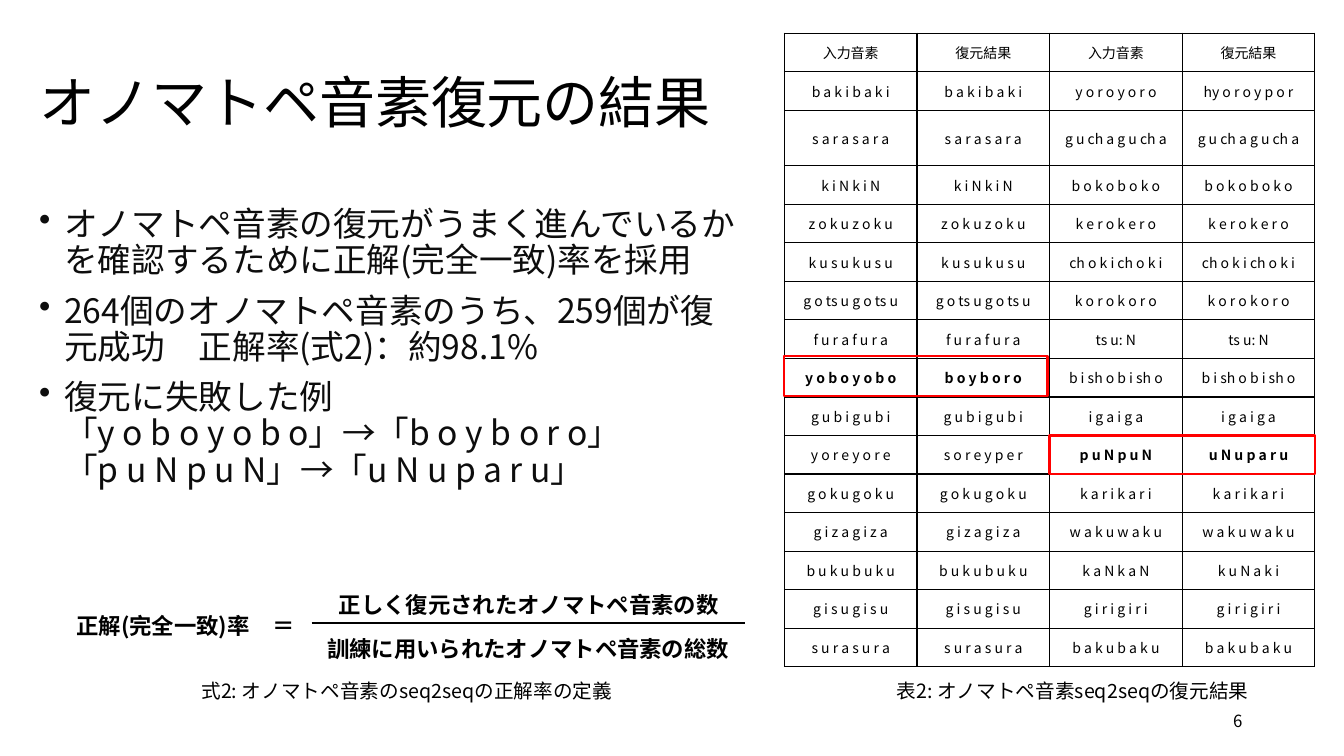
from pptx import Presentation
from pptx.dml.color import RGBColor
from pptx.enum.shapes import MSO_CONNECTOR, MSO_SHAPE
from pptx.enum.text import MSO_ANCHOR, MSO_AUTO_SIZE, PP_ALIGN
from pptx.oxml.ns import qn
from pptx.util import Inches, Pt
from lxml import etree

LEFT, CENTER, RIGHT, JUSTIFY = PP_ALIGN.LEFT, PP_ALIGN.CENTER, PP_ALIGN.RIGHT, PP_ALIGN.JUSTIFY
TOP, MIDDLE = MSO_ANCHOR.TOP, MSO_ANCHOR.MIDDLE
KR, JP = "Noto Sans CJK KR", "Noto Sans CJK JP"
BLACK, INK, RED = "000000", "0D0D0D", "FF0000"

TITLE = "オノマトペ音素復元の結果"
BULLETS = [
    "オノマトペ音素の復元がうまく進んでいるかを確認するために正解(完全一致)率を採用",
    "264個のオノマトペ音素のうち、259個が復元成功\u3000正解率(式2)：約98.1%".replace("\u3000", "　"),
    "復元に失敗した例\v「y o b o y o b o」→「b o y b o r o」\v「p u N p u N」→「u N u p a r u」",
]
RESULTS = [
    ("入力音素", "復元結果", "入力音素", "復元結果"),
    ("b a k i b a k i", "b a k i b a k i", "y o r o y o r o", "hy o r o y p o r"),
    ("s a r a s a r a", "s a r a s a r a", "g u ch a g u ch a", "g u ch a g u ch a"),
    ("k i N k i N", "k i N k i N", "b o k o b o k o", "b o k o b o k o"),
    ("z o k u z o k u", "z o k u z o k u", "k e r o k e r o", "k e r o k e r o"),
    ("k u s u k u s u", "k u s u k u s u", "ch o k i ch o k i", "ch o k i ch o k i"),
    ("g o ts u g o ts u", "g o ts u g o ts u", "k o r o k o r o", "k o r o k o r o"),
    ("f u r a f u r a", "f u r a f u r a", "ts u: N", "ts u: N"),
    ("y o b o y o b o", "b o y b o r o", "b i sh o b i sh o", "b i sh o b i sh o"),
    ("g u b i g u b i", "g u b i g u b i", "i g a i g a", "i g a i g a"),
    ("y o r e y o r e", "s o r e y p e r", "p u N p u N", "u N u p a r u"),
    ("g o k u g o k u", "g o k u g o k u", "k a r i k a r i", "k a r i k a r i"),
    ("g i z a g i z a", "g i z a g i z a", "w a k u w a k u", "w a k u w a k u"),
    ("b u k u b u k u", "b u k u b u k u", "k a N k a N", "k u N a k i"),
    ("g i s u g i s u", "g i s u g i s u", "g i r i g i r i", "g i r i g i r i"),
    ("s u r a s u r a", "s u r a s u r a", "b a k u b a k u", "b a k u b a k u"),
]
FAILURES = {(8, 0), (8, 1), (10, 2), (10, 3)}
FAILURE_FRAMES = [(7.78, 3.53, 2.61, 0.4), (10.41, 4.32, 2.63, 0.38)]
FORMULA = [
    ("正解(完全一致)率　＝", (0.66, 6.02, 2.58, 0.37), JUSTIFY),
    ("正しく復元されたオノマトペ音素の数", (3.15, 5.81, 4.19, 0.37), CENTER),
    ("訓練に用いられたオノマトペ音素の総数", (2.95, 6.25, 4.58, 0.37), CENTER),
]
FRACTION_BAR = (3.09, 6.18, 7.39, 6.18)
CAPTIONS = [
    ("表2: オノマトペ音素seq2seqの復元結果", (7.86, 6.69, 5.56, 0.34)),
    ("式2: オノマトペ音素のseq2seqの正解率の定義", (0.99, 6.69, 6.09, 0.34)),
]
PAGE_NUMBER = ("6", (9.42, 6.95, 3, 0.4))
TABLE_AREA = (7.78, 0.33, 5.26, 6.29)
TALL_ROW, TALL_HEIGHT = 2, 0.55


def rgb(color):
    return RGBColor.from_string(color)


def inches(lengths):
    return [Inches(length) for length in lengths]


def style(para, size, align=LEFT, font=KR, color=BLACK, bold=False):
    para.alignment = align
    para.font.size, para.font.bold, para.font.name = Pt(size), bold, font
    para.font.color.rgb = rgb(color)
    properties = para._p.pPr.find(qn("a:defRPr"))
    etree.SubElement(properties, qn("a:ea")).set("typeface", font)


def add_text(shapes, lines, area, size, anchor=TOP, **look):
    box = shapes.add_textbox(*inches(area))
    frame = box.text_frame
    frame.word_wrap, frame.vertical_anchor = True, anchor
    frame.text = "\n".join(lines)
    for para in frame.paragraphs:
        style(para, size, **look)
    return frame


def add_bullet(para):
    para.line_spacing, para.space_before = 0.9, Pt(10)
    properties = para._p.pPr
    properties.set("marL", str(Inches(0.25)))
    properties.set("indent", str(Inches(-0.25)))
    bullet = etree.Element(qn("a:buChar"), char="•")
    properties.find(qn("a:defRPr")).addprevious(bullet)


def add_borders(cell):
    properties = cell._tc.get_or_add_tcPr()
    for index, side in enumerate(("lnL", "lnR", "lnT", "lnB")):
        line = etree.Element(qn("a:" + side), w=str(Pt(1)))
        fill = etree.SubElement(line, qn("a:solidFill"))
        etree.SubElement(fill, qn("a:srgbClr"), val=BLACK)
        properties.insert(index, line)


def add_results(page):
    row_count, column_count = len(RESULTS), len(RESULTS[0])
    table = page.shapes.add_table(row_count, column_count, *inches(TABLE_AREA)).table
    table.first_row = table.horz_banding = False
    width, height = TABLE_AREA[2:]
    for column in table.columns:
        column.width = Inches(width / column_count)
    for index, row in enumerate(table.rows):
        regular = (height - TALL_HEIGHT) / (row_count - 1)
        row.height = Inches(TALL_HEIGHT if index == TALL_ROW else regular)
        for place, cell in enumerate(row.cells):
            cell.fill.background()
            add_borders(cell)
            cell.vertical_anchor = MIDDLE
            cell.margin_left = cell.margin_right = Inches(0.07)
            cell.margin_top = cell.margin_bottom = 0
            cell.text = RESULTS[index][place]
            para = cell.text_frame.paragraphs[0]
            para.space_after = Pt(8)
            style(para, 10, align=CENTER, bold=(index, place) in FAILURES)


def add_formula(page):
    group = page.shapes.add_group_shape()
    for text, area, align in FORMULA:
        add_text(group.shapes, [text], area, 16, anchor=MIDDLE, align=align, bold=True)
    bar = group.shapes.add_connector(MSO_CONNECTOR.STRAIGHT, *inches(FRACTION_BAR))
    bar.line.color.rgb, bar.line.width = rgb(BLACK), Pt(1.5)
    etree.SubElement(bar._element.spPr, qn("a:effectLst"))


def add_title(page):
    title = page.shapes.title
    title.left, title.top, title.width, title.height = inches((0.29, 0.32, 12.7, 1.45))
    frame = title.text_frame
    frame.text = TITLE
    frame.vertical_anchor, frame.auto_size = MIDDLE, MSO_AUTO_SIZE.NONE
    para = frame.paragraphs[0]
    para.line_spacing = 0.9
    style(para, 40)


def main():
    deck = Presentation()
    deck.slide_width, deck.slide_height = inches((13.33, 7.5))
    page = deck.slides.add_slide(deck.slide_layouts[5])
    add_title(page)
    add_results(page)
    number, area = PAGE_NUMBER
    add_text(page.shapes, [number], area, 12, anchor=MIDDLE, align=RIGHT)
    for text, area in CAPTIONS:
        add_text(page.shapes, [text], area, 14, align=CENTER)
    for area in FAILURE_FRAMES:
        box = page.shapes.add_shape(MSO_SHAPE.RECTANGLE, *inches(area))
        box.shadow.inherit = False
        box.fill.background()
        box.line.color.rgb, box.line.width = rgb(RED), Pt(1.5)
    add_formula(page)
    body = add_text(page.shapes, BULLETS, (0.29, 2.01, 7.14, 4.9), 24, font=JP, color=INK)
    for para in body.paragraphs:
        add_bullet(para)
    deck.save("out.pptx")


if __name__ == "__main__":
    main()
